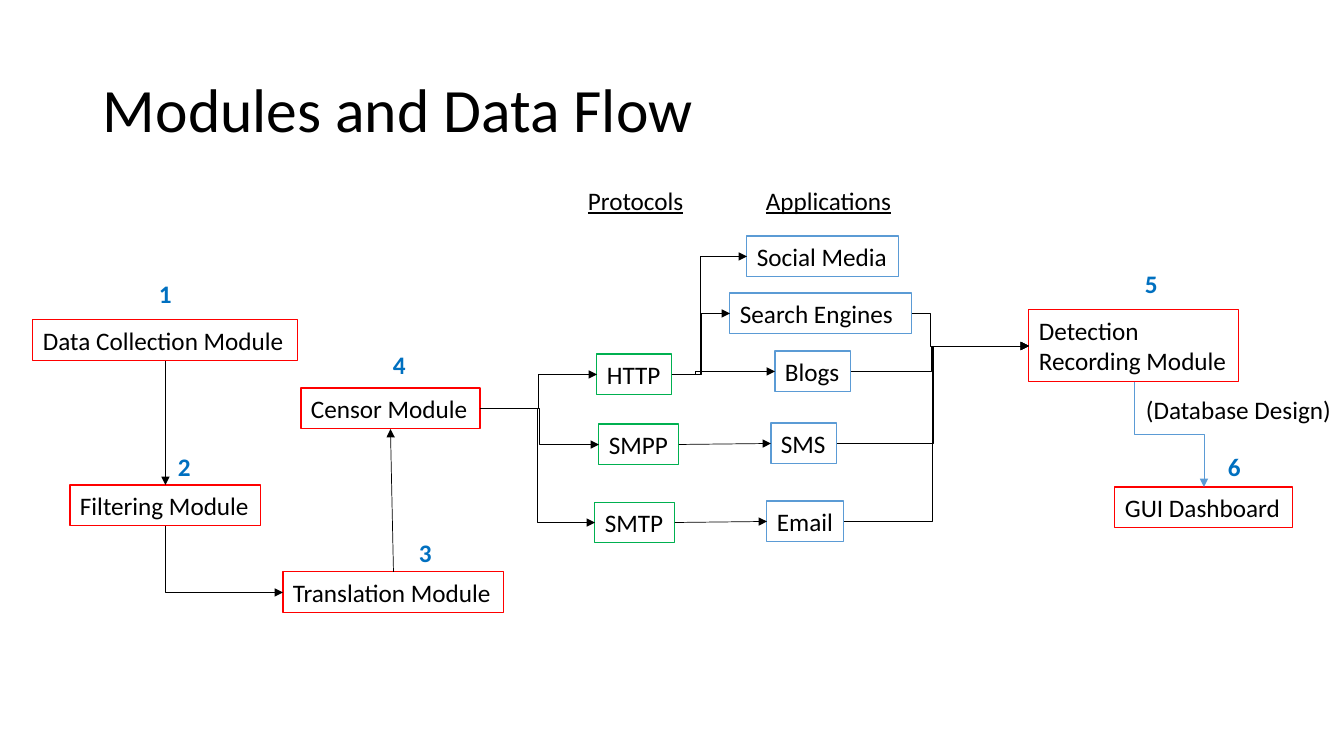
"""Build the slide showing the modules and the data flow between them."""
import dataclasses

import lxml.etree
import pptx
import pptx.dml.color
import pptx.enum.shapes
import pptx.enum.text
import pptx.oxml.ns
import pptx.util


@dataclasses.dataclass(frozen=True)
class Theme:
    font: str = "Calibri"
    title: int = 44
    body: int = 18
    ink: str = "000000"
    number: str = "0070C0"
    module: str = "FF0000"
    protocol: str = "00B050"
    application: str = "5B9BD5"
    border: float = 0.75
    flow: float = 0.5


THEME = Theme()
PX = 914400 / 100.8
ROW = 41
NUMBER_WIDTH = 33
TOP, LEFT, BOTTOM, RIGHT = range(4)

TITLE = ("Modules and Data Flow", 93, 40, 1159, 146)
BOXES = {
    THEME.module: [
        ("Data Collection Module", 33, 320, 265),
        ("Filtering Module", 70, 485, 191),
        ("Translation Module", 283, 572, 221),
        ("Censor Module", 301, 388, 179),
        ("Detection\nRecording Module", 1029, 310, 210),
        ("GUI Dashboard", 1115, 487, 178),
    ],
    THEME.protocol: [
        ("HTTP", 597, 354, 75),
        ("SMPP", 599, 424, 80),
        ("SMTP", 595, 502, 80),
    ],
    THEME.application: [
        ("Social Media", 747, 236, 152),
        ("Search Engines", 730, 293, 182),
        ("Blogs", 775, 351, 76),
        ("SMS", 771, 423, 66),
        ("Email", 767, 501, 77),
    ],
}
NUMBERS = [("1", 149, 273), ("2", 168, 446), ("3", 409, 532),
           ("4", 383, 344), ("5", 1135, 263), ("6", 1218, 446)]
HEADINGS = [("Protocols", 578, 180, 117), ("Applications", 756, 180, 147)]
NOTE = ("(Database Design)", 1136, 389, 208)

STRAIGHT = [
    ("Data Collection Module", BOTTOM, "Filtering Module", TOP),
    ("Translation Module", TOP, "Censor Module", BOTTOM),
    ("SMPP", RIGHT, "SMS", LEFT),
    ("SMTP", RIGHT, "Email", LEFT),
]
ACROSS = [
    ("Censor Module", "HTTP", 0.5),
    ("Censor Module", "SMPP", 0.5),
    ("Censor Module", "SMTP", 0.5),
    ("HTTP", "Blogs", 0.23),
    ("HTTP", "Search Engines", 0.5),
    ("HTTP", "Social Media", 0.38),
    ("Blogs", "Detection\nRecording Module", 0.45),
    ("Search Engines", "Detection\nRecording Module", 0.16),
    ("SMS", "Detection\nRecording Module", 0.5),
    ("Email", "Detection\nRecording Module", 0.48),
]
DOWN = [
    ("Filtering Module", "Translation Module", LEFT, "bentConnector2", THEME.ink),
    ("Detection\nRecording Module", "GUI Dashboard", TOP, "bentConnector3", THEME.application),
]


def px(n):
    return pptx.util.Emu(round(n * PX))


def rgb(color):
    return pptx.dml.color.RGBColor.from_string(color)


def write(sp, text, size=THEME.body, color=THEME.ink, bold=None, underline=None):
    tf = sp.text_frame
    tf.text = text
    tf.word_wrap = True
    tf.margin_right = 0
    for p in tf.paragraphs:
        p.alignment = pptx.enum.text.PP_ALIGN.LEFT
        for r in p.runs:
            r.font.name = THEME.font
            r.font.size = pptx.util.Pt(size)
            r.font.bold = bold
            r.font.underline = underline
            r.font.color.rgb = rgb(color)
    return tf


def add_label(s, text, x, y, w, h=ROW, **style):
    return write(s.shapes.add_textbox(px(x), px(y), px(w), px(h)), text, **style)


def add_box(s, text, x, y, w, color):
    h = ROW + 31 * text.count("\n")
    sp = s.shapes.add_shape(pptx.enum.shapes.MSO_SHAPE.RECTANGLE, px(x), px(y), px(w), px(h))
    sp.shadow.inherit = False
    sp.fill.background()
    sp.line.color.rgb = rgb(color)
    sp.line.width = pptx.util.Pt(THEME.border)
    tf = write(sp, text)
    tf.vertical_anchor = pptx.enum.text.MSO_ANCHOR.TOP
    return sp


def add_arrow(s, kind, start, start_site, end, end_site, color=THEME.ink):
    c = s.shapes.add_connector(kind, 0, 0, 0, 0)
    c.begin_connect(start, start_site)
    c.end_connect(end, end_site)
    c.line.color.rgb = rgb(color)
    c.line.width = pptx.util.Pt(THEME.flow)
    qn = pptx.oxml.ns.qn
    spPr = c._element.spPr
    lxml.etree.SubElement(spPr.find(qn("a:ln")), qn("a:tailEnd")).set("type", "triangle")
    lxml.etree.SubElement(spPr, qn("a:effectLst"))
    return c, spPr.find(qn("a:xfrm")), spPr.find(qn("a:prstGeom"))


def bend_at(geom, share):
    qn = pptx.oxml.ns.qn
    gd = lxml.etree.SubElement(geom.find(qn("a:avLst")), qn("a:gd"))
    gd.set("name", "adj1")
    gd.set("fmla", f"val {round(share * 100000)}")


def turn_down(c, xfrm, geom, preset):
    left, top, w, h = c.left, c.top, c.width, c.height
    c.left, c.top = left + (w - h) // 2, top + (h - w) // 2
    c.width, c.height = h, w
    xfrm.set("rot", str(270 * 60000))
    xfrm.set("flipH", "1")
    geom.set("prst", preset)


prs = pptx.Presentation()
prs.slide_width, prs.slide_height = px(1344), px(756)
s = prs.slides.add_slide(prs.slide_layouts[6])

tf = add_label(s, *TITLE, size=THEME.title)
tf.vertical_anchor = pptx.enum.text.MSO_ANCHOR.MIDDLE
tf.paragraphs[0].line_spacing = 0.9

boxes = {box[0]: add_box(s, *box, color) for color, group in BOXES.items() for box in group}

LINE = pptx.enum.shapes.MSO_CONNECTOR.STRAIGHT
ELBOW = pptx.enum.shapes.MSO_CONNECTOR.ELBOW
for start, start_site, end, end_site in STRAIGHT:
    add_arrow(s, LINE, boxes[start], start_site, boxes[end], end_site)
for start, end, share in ACROSS:
    c, xfrm, geom = add_arrow(s, ELBOW, boxes[start], RIGHT, boxes[end], LEFT)
    bend_at(geom, share)
for start, end, end_site, preset, color in DOWN:
    c, xfrm, geom = add_arrow(s, ELBOW, boxes[start], BOTTOM, boxes[end], end_site, color)
    turn_down(c, xfrm, geom, preset)

for number in NUMBERS:
    add_label(s, *number, NUMBER_WIDTH, color=THEME.number, bold=True)
for heading in HEADINGS:
    add_label(s, *heading, underline=True)
add_label(s, *NOTE)

prs.save("out.pptx")
